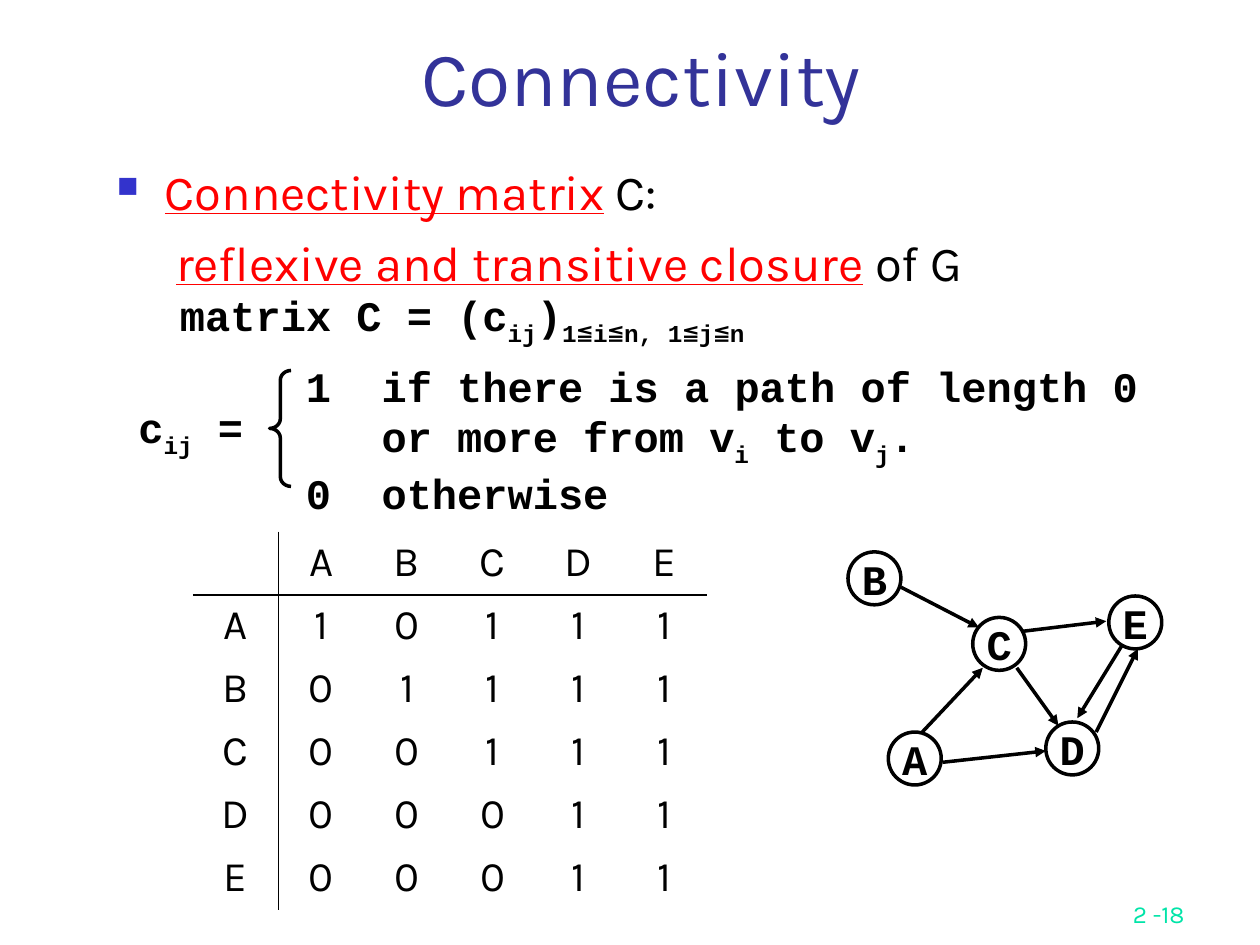
from dataclasses import dataclass

from lxml.etree import SubElement
from pptx import Presentation
from pptx.dml.color import RGBColor
from pptx.enum.shapes import MSO_CONNECTOR, MSO_SHAPE
from pptx.enum.text import MSO_ANCHOR, PP_ALIGN
from pptx.oxml import parse_xml
from pptx.oxml.ns import nsdecls, qn
from pptx.util import Inches, Pt


@dataclass(frozen=True)
class Theme:
    ink: str = "000000"
    title: str = "333399"
    key: str = "FF0000"
    bullet: str = "3333CC"
    page: str = "00E4A8"
    sans: str = "Karla"
    mono: str = "Courier New"
    serif: str = "Times New Roman"
    head: int = 44
    body: int = 28
    text: int = 24
    note: int = 14
    line: float = 2
    rule: float = 1.08


class Board:
    def __init__(self, slide, theme):
        self.slide = slide
        self.theme = theme

    def fill(self, para, runs, look):
        """Add runs given as text or as (text, format) pairs."""
        for item in runs:
            text, extra = (item, {}) if isinstance(item, str) else item
            vals = {**look, **extra}
            color = vals.pop("color", self.theme.ink)
            base = vals.pop("base", 0)
            run = para.add_run()
            run.text = text
            for name, val in vals.items():
                setattr(run.font, name, val)
            run.font.color.rgb = RGBColor.from_string(color)
            if base:
                run._r.get_or_add_rPr().set("baseline", str(base * 1000))

    def text(self, box, paras, look, align=PP_ALIGN.LEFT,
             anchor=MSO_ANCHOR.TOP, wrap=True):
        frame = self.slide.shapes.add_textbox(*map(Inches, box)).text_frame
        frame.word_wrap = wrap
        frame.vertical_anchor = anchor
        for i, runs in enumerate(paras):
            para = frame.paragraphs[0] if i == 0 else frame.add_paragraph()
            para.alignment = align
            self.fill(para, runs, look)
        return frame.paragraphs

    def indent(self, para, left, first=0.0, bullet=None, tab=False):
        props = para._p.get_or_add_pPr()
        props.set("marL", str(Inches(left)))
        props.set("indent", str(Inches(first)))
        if bullet:
            color = SubElement(props, qn("a:buClr"))
            SubElement(color, qn("a:srgbClr"), val=self.theme.bullet)
            SubElement(props, qn("a:buSzPct"), val="60000")
            SubElement(props, qn("a:buChar"), char=bullet)
        if tab:
            tabs = SubElement(props, qn("a:tabLst"))
            SubElement(tabs, qn("a:tab"), pos=str(Inches(left)), algn="l")

    def stroke(self, line):
        line.color.rgb = RGBColor.from_string(self.theme.ink)
        line.width = Pt(self.theme.line)

    def shape(self, kind, box):
        shape = self.slide.shapes.add_shape(kind, *map(Inches, box))
        shape.shadow.inherit = False
        shape.fill.background()
        self.stroke(shape.line)
        return shape

    def node(self, name, left, top, size, look):
        frame = self.shape(MSO_SHAPE.OVAL, (left, top, size, size)).text_frame
        frame.word_wrap = False
        frame.vertical_anchor = MSO_ANCHOR.MIDDLE
        frame.paragraphs[0].alignment = PP_ALIGN.CENTER
        self.fill(frame.paragraphs[0], [name], look)

    def arrow(self, *ends):
        link = self.slide.shapes.add_connector(
            MSO_CONNECTOR.STRAIGHT, *map(Inches, ends))
        self.stroke(link.line)
        SubElement(link.line._get_or_add_ln(), qn("a:tailEnd"), type="triangle")
        SubElement(link._element.spPr, qn("a:effectLst"))

    def edges(self, cell, sides):
        """Rule the named sides of a cell and clear the others."""
        props = cell._tc.get_or_add_tcPr()
        for i, side in enumerate("LRTB"):
            paint = (f'<a:solidFill><a:srgbClr val="{self.theme.ink}"/></a:solidFill>'
                     if side in sides else "<a:noFill/>")
            props.insert(i, parse_xml(
                f'<a:ln{side} {nsdecls("a")} w="{Pt(self.theme.rule)}">{paint}</a:ln{side}>'))

    def table(self, left, top, wide, high, rows, look):
        count = len(rows)
        table = self.slide.shapes.add_table(
            count, count, Inches(left), Inches(top),
            Inches(wide * count), Inches(high * count)).table
        table.first_row = table.horz_banding = False
        for r, row in enumerate(rows):
            for c, val in enumerate(row):
                cell = table.cell(r, c)
                cell.fill.background()
                self.edges(cell, {0: "R", 1: "L"}.get(c, "") + {0: "B", 1: "T"}.get(r, ""))
                para = cell.text_frame.paragraphs[0]
                para.alignment = PP_ALIGN.CENTER
                if val.strip():
                    self.fill(para, [val], look)


def main():
    deck = Presentation()
    deck.slide_width, deck.slide_height = Inches(10), Inches(7.5)
    t = Theme()
    board = Board(deck.slides.add_slide(deck.slide_layouts[6]), t)
    sans = {"name": t.sans, "size": Pt(t.body)}
    mono = {"name": t.mono, "size": Pt(t.text), "bold": True}
    key = {"color": t.key, "underline": True}
    sub = {"base": -25}
    serif = {**sub, "name": t.serif}

    # Page number and title
    board.text((7.42, 6.92, 2.08, 0.5), [["2 -18"]],
               {**sans, "size": Pt(t.note), "color": t.page},
               PP_ALIGN.RIGHT, MSO_ANCHOR.BOTTOM)
    board.text((0.83, 0, 8.52, 1.02), [["Connectivity"]],
               {**sans, "size": Pt(t.head), "color": t.title},
               PP_ALIGN.CENTER, MSO_ANCHOR.BOTTOM)

    # Definition
    lead, rest = board.text((0.83, 1.23, 8.42, 5.08), [
        [("Connectivity matrix", key), " C:"],
        [("reflexive and transitive closure", key), " of G"]], sans)
    board.indent(lead, 0.38, -0.38, bullet="■")
    board.indent(rest, 0.47)
    rest.space_before = Pt(7)

    # Graph
    for name, left, top in (("B", 6.73, 4.38), ("C", 7.72, 4.9), ("E", 8.8, 4.73),
                            ("D", 8.3, 5.73), ("A", 7.05, 5.81)):
        board.node(name, left, top, 0.42, mono)
    for ends in ((7.15, 4.66, 7.77, 4.98),   # B to C
                 (7.32, 5.81, 7.8, 5.3),     # A to C
                 (7.48, 6.05, 8.3, 5.96),    # A to D
                 (8.07, 5.3, 8.4, 5.76),     # C to D
                 (8.9, 5.13, 8.55, 5.7),     # E to D
                 (8.7, 5.81, 9.03, 5.15),    # D to E
                 (8.12, 5.01, 8.78, 4.93)):  # C to E
        board.arrow(*ends)

    # Formula
    leq = ("≦", serif)
    board.text((1.33, 2.25, 4.68, 0.56), [
        ["matrix C = (c", ("ij", sub), ")", ("1", sub), leq, ("i", sub), leq,
         ("n, 1", sub), leq, ("j", sub), leq, ("n", sub)]], mono, wrap=False)
    board.text((1, 3.14, 1.23, 0.56), [["c", ("ij", sub), " ="]], mono, wrap=False)
    cases = board.text((2.33, 2.81, 6.99, 1.36), [
        ["1\tif there is a path of length 0"],
        ["or more from v", ("i", sub), " to v", ("j", sub), "."],
        ["0\totherwise"]], mono)
    for para, first in zip(cases, (-0.6, 0, -0.6)):
        board.indent(para, 0.6, first, tab=True)
    brace = board.shape(MSO_SHAPE.LEFT_BRACE, (2.14, 2.94, 0.17, 0.92))
    brace.adjustments[0] = 0.45

    # Connectivity matrix
    board.table(1.53, 4.22, 0.68, 0.5,
                [" ABCDE", "A10111", "B01111", "C00111", "D00011", "E00011"],
                {**sans, "size": Pt(t.text)})

    deck.save("out.pptx")


if __name__ == "__main__":
    main()
